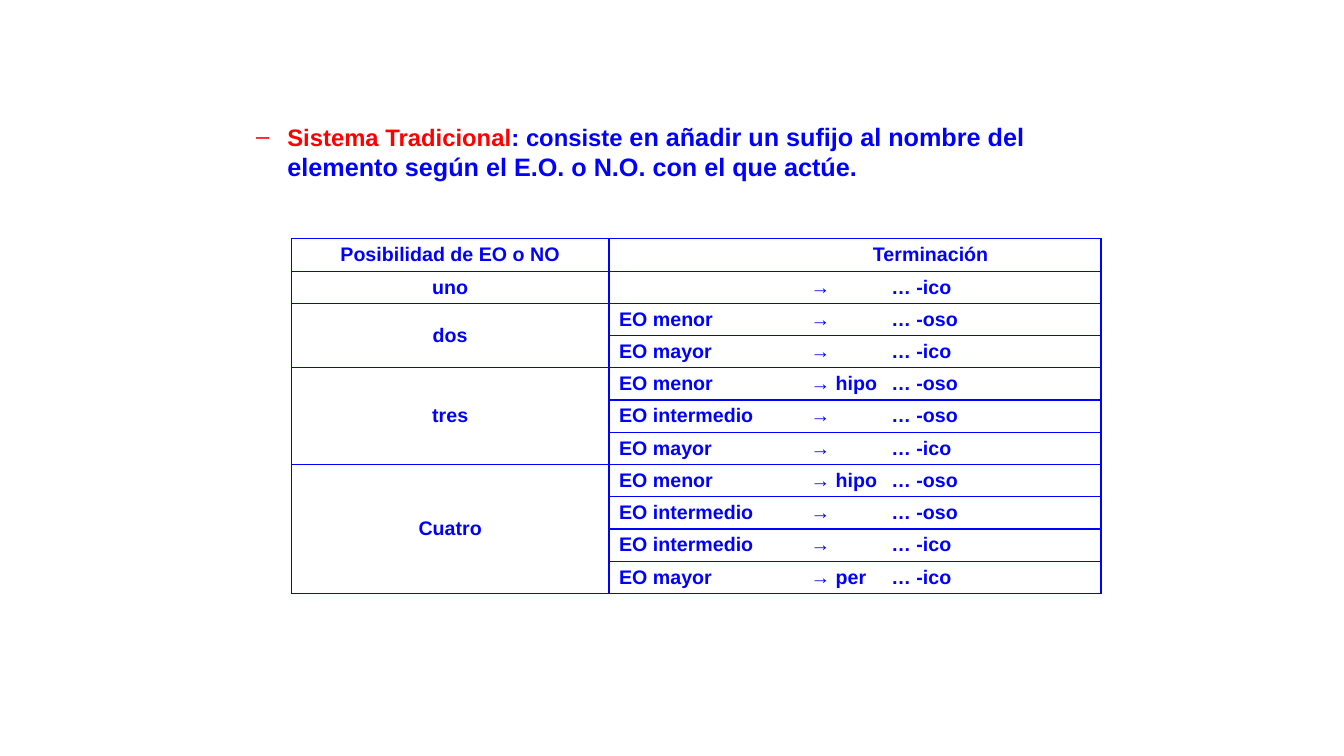
from dataclasses import dataclass

from lxml.etree import SubElement
from pptx import Presentation
from pptx.dml.color import RGBColor
from pptx.enum.text import MSO_ANCHOR, MSO_AUTO_SIZE, PP_ALIGN
from pptx.oxml import parse_xml
from pptx.oxml.ns import nsdecls, qn
from pptx.util import Inches, Pt


@dataclass(frozen=True)
class Theme:
    """Colours, font and type sizes of the slide."""
    blue: RGBColor = RGBColor(0x00, 0x00, 0xFF)
    red: RGBColor = RGBColor(0xFF, 0x00, 0x00)
    white: RGBColor = RGBColor(0xFF, 0xFF, 0xFF)
    font: str = "Arial"
    lead_size: int = 17
    body_size: int = 18
    table_size: int = 14


theme = Theme()


def format_span(span, size, color):
    """Give a run the bold theme font in a size and colour."""
    span.font.name = theme.font
    span.font.bold = True
    span.font.size = Pt(size)
    span.font.color.rgb = color


def format_cell(cell, align):
    """Fill and outline a table cell and format its text."""
    cell.fill.solid()
    cell.fill.fore_color.rgb = theme.white
    cell.vertical_anchor = MSO_ANCHOR.MIDDLE
    cell.margin_top = cell.margin_bottom = Inches(0.04)
    properties = cell._tc.get_or_add_tcPr()
    for position, side in enumerate(("lnL", "lnR", "lnT", "lnB")):
        properties.insert(position, parse_xml(
            f'<a:{side} {nsdecls("a")} w="{Pt(1)}"><a:solidFill>'
            f'<a:srgbClr val="{theme.blue}"/></a:solidFill></a:{side}>'))
    para = cell.text_frame.paragraphs[0]
    para.alignment = align
    for span in para.runs:
        format_span(span, theme.table_size, theme.blue)


deck = Presentation()
deck.slide_width, deck.slide_height = Inches(13.33), Inches(7.5)
page = deck.slides.add_slide(deck.slide_layouts[1])
title = page.shapes.title
title.element.getparent().remove(title.element)

# Definition
body = page.placeholders[1]
body.left, body.top = Inches(1.94), Inches(1.15)
body.width, body.height = Inches(9.45), Inches(5.43)
body.text_frame.auto_size = MSO_AUTO_SIZE.NONE
para = body.text_frame.paragraphs[0]
para.level = 1
bullet = para._p.get_or_add_pPr()
bullet.set("marL", str(Inches(0.81)))
bullet.set("indent", str(Inches(-0.31)))
SubElement(bullet, qn("a:buChar")).set("char", "–")
for text, size, color in (
    ("Sistema Tradicional", theme.lead_size, theme.red),
    (": consiste ", theme.lead_size, theme.blue),
    ("en añadir un sufijo al nombre del elemento según el E.O. o N.O. "
     "con el que actúe.", theme.body_size, theme.blue),
):
    span = para.add_run()
    span.text = text
    format_span(span, size, color)

# Each possibility with its states, prefixes and suffixes
possibilities = (
    ("uno", [("", "", "-ico")]),
    ("dos", [("EO menor", "", "-oso"), ("EO mayor", "", "-ico")]),
    ("tres", [("EO menor", " hipo", "-oso"), ("EO intermedio", "", "-oso"),
              ("EO mayor", "", "-ico")]),
    ("Cuatro", [("EO menor", " hipo", "-oso"), ("EO intermedio", "", "-oso"),
                ("EO intermedio", "", "-ico"), ("EO mayor", " per", "-ico")]),
)
row_count = 1 + sum(len(states) for _, states in possibilities)
row_height = Inches(0.32)
table = page.shapes.add_table(
    row_count, 2, Inches(2.89), Inches(2.37), Inches(8.03),
    row_height * row_count).table
table.first_row = table.horz_banding = False
for column, width in zip(table.columns, (3.15, 4.88)):
    column.width = Inches(width)
for table_row in table.rows:
    table_row.height = row_height

for column, heading in enumerate(("Posibilidad de EO o NO", "Terminación")):
    table.cell(0, column).text_frame.text = heading
    format_cell(table.cell(0, column), PP_ALIGN.CENTER)
table.cell(0, 1).margin_left = Inches(1.6)

row = 1
for possibility, states in possibilities:
    first = table.cell(row, 0)
    if len(states) > 1:
        first.merge(table.cell(row + len(states) - 1, 0))
    first.text_frame.text = possibility
    for state, prefix, suffix in states:
        format_cell(table.cell(row, 0), PP_ALIGN.CENTER)
        ending = table.cell(row, 1)
        ending.text_frame.text = f"{state}\t→{prefix}\t… {suffix}"
        format_cell(ending, PP_ALIGN.LEFT)
        tabs = SubElement(
            ending.text_frame.paragraphs[0]._p.get_or_add_pPr(), qn("a:tabLst"))
        for stop in (1.9, 2.7):
            tab = SubElement(tabs, qn("a:tab"))
            tab.set("pos", str(Inches(stop)))
            tab.set("algn", "l")
        row += 1

deck.save("out.pptx")
